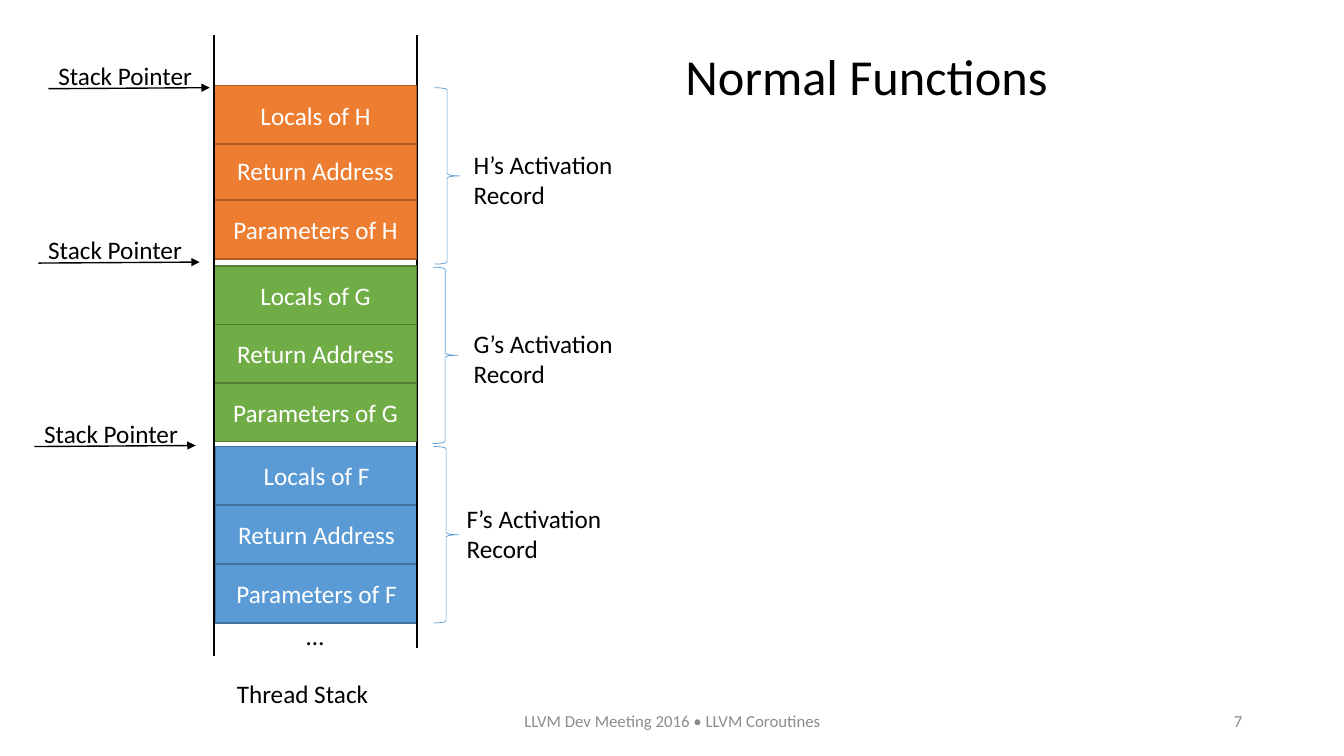
from dataclasses import dataclass

from lxml.etree import SubElement
from pptx import Presentation
from pptx.dml.color import RGBColor
from pptx.enum.shapes import MSO_CONNECTOR as Connector, MSO_SHAPE as Shape
from pptx.enum.text import MSO_ANCHOR as Anchor, MSO_AUTO_SIZE as AutoSize, PP_ALIGN as Align
from pptx.oxml.ns import qn
from pptx.util import Emu, Pt

EMU_PER_PX = 9144  # 100 px to the inch


@dataclass(frozen=True)
class Theme:
    font: str = "Calibri"
    ink: str = "000000"
    light: str = "FFFFFF"
    muted: str = "8C8C8C"
    brace: str = "5B9BD5"
    blue: tuple = ("5B9BD5", "43739E")
    green: tuple = ("70AD47", "538035")
    orange: tuple = ("ED7D31", "AF5C24")
    title_size: int = 36
    body_size: int = 18
    footer_size: int = 12


THEME = Theme()


def px(*lengths):
    return [Emu(length * EMU_PER_PX) for length in lengths]


def color(value):
    return RGBColor.from_string(value)


def write(shape, text, size=THEME.body_size, ink=THEME.ink, align=Align.LEFT,
          anchor=Anchor.TOP, wrap=False):
    frame = shape.text_frame
    frame.word_wrap = wrap
    frame.auto_size = AutoSize.NONE if wrap else AutoSize.SHAPE_TO_FIT_TEXT
    frame.vertical_anchor = anchor
    for index, line in enumerate(text.split("\n")):
        para = frame.add_paragraph() if index else frame.paragraphs[0]
        para.alignment = align
        span = para.add_run()
        span.text = line
        span.font.name = THEME.font
        span.font.size = Pt(size)
        span.font.color.rgb = color(ink)


def add_text(page, box, text, **text_format):
    write(page.shapes.add_textbox(*px(*box)), text, **text_format)


def add_outline(page, kind, box, line, width, fill=None):
    shape = page.shapes.add_shape(kind, *px(*box))
    shape.shadow.inherit = False
    if fill:
        shape.fill.solid()
        shape.fill.fore_color.rgb = color(fill)
    else:
        shape.fill.background()
    shape.line.color.rgb = color(line)
    shape.line.width = Pt(width)
    return shape


def add_line(page, start, end, width, arrow=False):
    line = page.shapes.add_connector(Connector.STRAIGHT, *px(*start, *end))
    line.line.color.rgb = color(THEME.ink)
    line.line.width = Pt(width)
    if arrow:
        SubElement(line.line._get_or_add_ln(), qn("a:tailEnd"), type="triangle")
    SubElement(line._element.spPr, qn("a:effectLst"))


def add_record(page, box, name, colors, rows, brace, label):
    """One activation record; rows, brace and label are offsets in the box."""
    left, top, width, height = box
    fill, edge = colors
    captions = (f"Locals of {name}", "Return Address", f"Parameters of {name}")
    # The locals cell overlaps the return address, so it goes after it
    for index in (1, 0, 2):
        cell = add_outline(page, Shape.RECTANGLE,
                           (left, top + rows[index], width, 58), edge, 1, fill)
        write(cell, captions[index], ink=THEME.light, align=Align.CENTER,
              anchor=Anchor.MIDDLE, wrap=True)
    add_outline(page, Shape.RIGHT_BRACE,
                (left + brace[0], top + brace[1], 25, height), THEME.brace, 0.5)
    add_text(page, (left + label[0], top + label[1], 160, 71),
             f"{name}’s Activation\nRecord")


def add_stack(page, box):
    left, top, width, height = box
    right = left + width
    # Records, with the right wall above F only
    add_record(page, (left + 2, top + 408, 200, 175), "F", THEME.blue,
               rows=(0, 58, 117), brace=(216, 0), label=(239, 51))
    add_line(page, (right, top), (right, top + height - 8), 1.5)
    add_record(page, (left + 1, top + 229, 200, 175), "G", THEME.green,
               rows=(0, 58, 116), brace=(216, 1), label=(247, 57))
    add_record(page, (left + 1, top + 50, 200, 175), "H", THEME.orange,
               rows=(0, 55, 114), brace=(218, 2), label=(247, 58))
    add_line(page, (left, top), (left, top + height), 1.5)
    # Captions under the stack
    add_text(page, (left + 82, top + 575, 38, 40), "…")
    add_text(page, (left + 13, top + 633, 152, 40), "Thread Stack")


def add_pointer(page, box):
    left, top, width, height = box
    add_line(page, (left, top + height), (left + width, top + height - 1), 1, arrow=True)
    add_text(page, (left, top, 154, 40), "Stack Pointer")


def add_footer(page, box):
    left, top, width, height = box
    footer = dict(size=THEME.footer_size, ink=THEME.muted, anchor=Anchor.MIDDLE, wrap=True)
    add_text(page, (left, top, 450, height), "LLVM Dev Meeting 2016 • LLVM Coroutines",
             align=Align.CENTER, **footer)
    add_text(page, (left + width - 300, top, 300, height), "7", align=Align.RIGHT, **footer)


def main():
    deck = Presentation()
    deck.slide_width, deck.slide_height = px(1333, 750)
    page = deck.slides.add_slide(deck.slide_layouts[6])
    add_footer(page, (442, 695, 800, 40))
    add_stack(page, (212, 35, 202, 616))
    for left, top in ((34, 410), (38, 228), (48, 55)):
        add_pointer(page, (left, top, 160, 33))
    add_text(page, (670, 40, 383, 71), "Normal Functions", size=THEME.title_size)
    deck.save("out.pptx")


if __name__ == "__main__":
    main()
